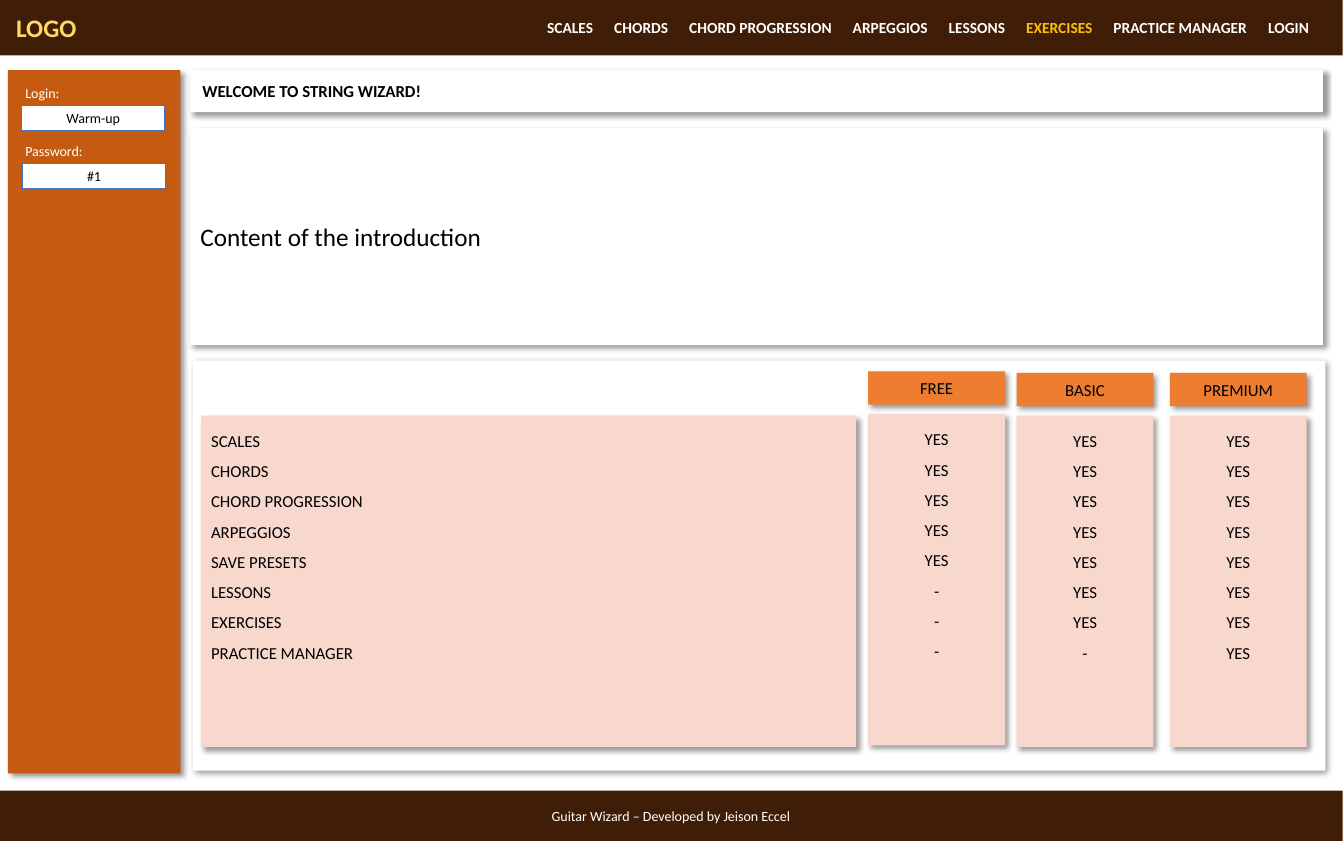
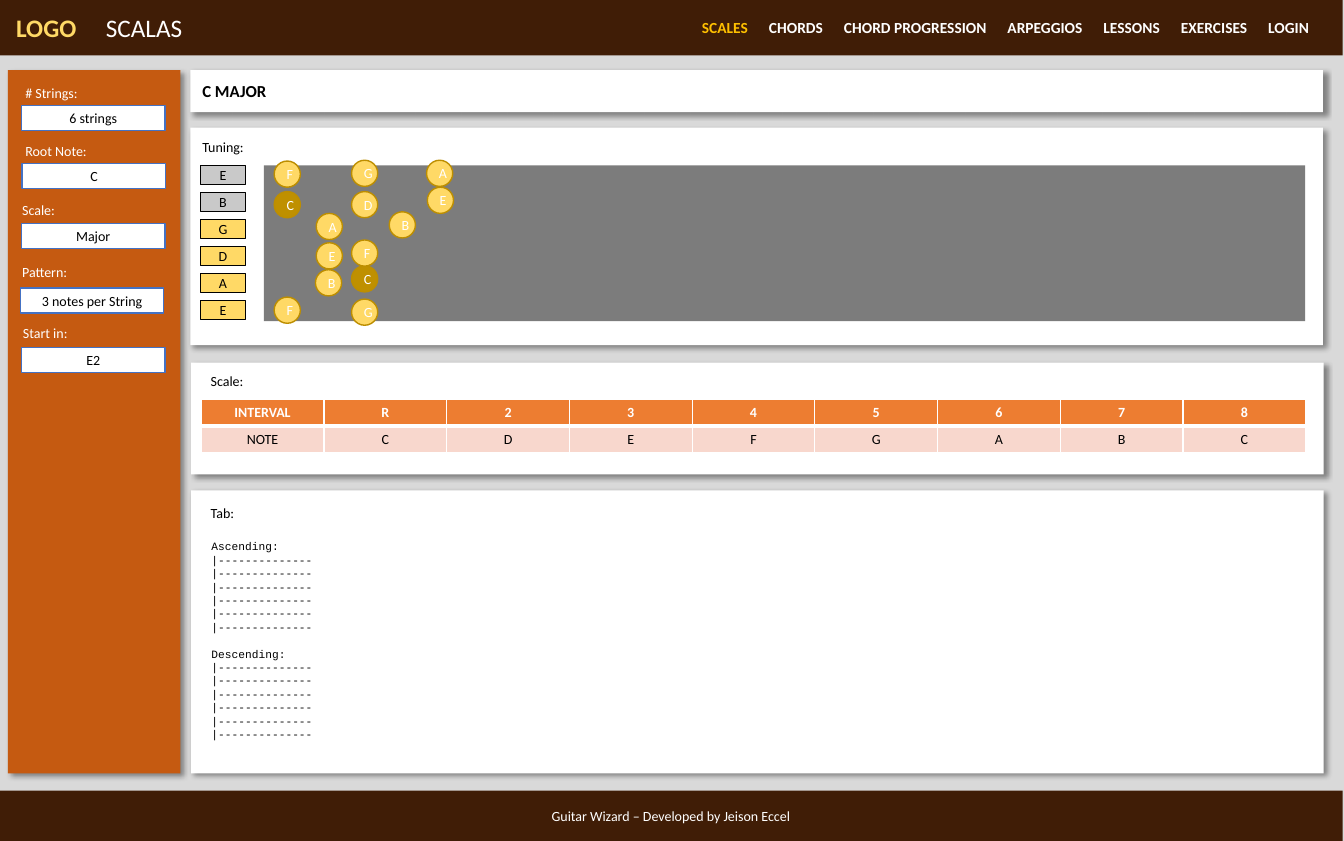
from itertools import accumulate

from lxml.etree import SubElement
from pptx import Presentation
from pptx.dml.color import RGBColor
from pptx.enum.shapes import MSO_SHAPE
from pptx.enum.text import MSO_ANCHOR, PP_ALIGN
from pptx.oxml.ns import qn
from pptx.util import Cm, Pt

COLORS = {
    "white": "FFFFFF", "black": "000000", "page_gray": "D9D9D9",
    "brown": "401D06", "rust": "C55A11", "orange": "ED7D31", "peach": "F8D7CD",
    "gold": "FFC000", "yellow": "FFD966", "dark_gold": "BF9000", "note_edge": "BD8E00",
    "blue": "4472C4", "silver": "C9C9C9", "fretboard": "7C7C7C",
}
WIDTH, HEIGHT = 33.87, 21.2
HEADER_HEIGHT = 1.4
MENU_RIGHT = 33.0
# Distance from the start of each menu entry to the start of the next
MENU_PITCH = {
    "SCALES": 1.69, "CHORDS": 1.89, "CHORD PROGRESSION": 4.12, "ARPEGGIOS": 2.42,
    "LESSONS": 1.95, "EXERCISES": 2.2, "PRACTICE MANAGER": 3.9, "LOGIN": 1.04,
}
PANEL_WIDTH = 28.54


def rgb(name):
    return RGBColor.from_string(COLORS[name])


def style_run(run, size=10, color="black", bold=False, font="Calibri"):
    run.font.size = Pt(size)
    run.font.name = font
    run.font.bold = bold
    run.font.color.rgb = rgb(color)


def write(frame, text, align=PP_ALIGN.LEFT, line_spacing=None, **run_format):
    """Put each line of text in a paragraph of its own."""
    for index, line in enumerate(text.split("\n")):
        paragraph = frame.add_paragraph() if index else frame.paragraphs[0]
        paragraph.alignment = align
        if line_spacing:
            paragraph.line_spacing = line_spacing
        run = paragraph.add_run()
        run.text = line
        style_run(run, **run_format)


def add_shadow(shape):
    effects = shape._element.spPr.find(qn("a:effectLst"))
    shadow = SubElement(effects, qn("a:outerShdw"), blurRad="50800", dist="38100",
                        dir="2700000", algn="tl", rotWithShape="0")
    color = SubElement(shadow, qn("a:srgbClr"), val=COLORS["black"])
    SubElement(color, qn("a:alpha"), val="40000")


def set_borders(cell, bottom):
    properties = cell._tc.get_or_add_tcPr()
    widths = {"a:lnL": 1, "a:lnR": 1, "a:lnT": 1, "a:lnB": bottom}
    for index, (tag, width) in enumerate(widths.items()):
        line = properties.makeelement(qn(tag), {"w": str(Pt(width))})
        fill = SubElement(line, qn("a:solidFill"))
        SubElement(fill, qn("a:srgbClr"), val=COLORS["white"])
        properties.insert(index, line)


class Page:
    """Style of the site mock-up and the slide being drawn."""

    def __init__(self, presentation, background):
        self.slide = presentation.slides.add_slide(presentation.slide_layouts[6])
        self.slide.background.fill.solid()
        self.slide.background.fill.fore_color.rgb = rgb(background)

    def box(self, left, top, width, height, fill="white", text="", line=None,
            shadow=False, kind=MSO_SHAPE.RECTANGLE, anchor=MSO_ANCHOR.MIDDLE,
            margin_left=0.25, align=PP_ALIGN.CENTER, **text_format):
        shape = self.slide.shapes.add_shape(kind, Cm(left), Cm(top), Cm(width), Cm(height))
        shape.shadow.inherit = False
        shape.fill.solid()
        shape.fill.fore_color.rgb = rgb(fill)
        if line:
            shape.line.color.rgb = rgb(line)
            shape.line.width = Pt(1)
        else:
            shape.line.fill.background()
        if shadow:
            add_shadow(shape)
        if text:
            shape.text_frame.vertical_anchor = anchor
            shape.text_frame.margin_left = Cm(margin_left)
            write(shape.text_frame, text, align=align, **text_format)
        return shape

    def panel(self, left, top, height, text="", **text_format):
        self.box(left, top, PANEL_WIDTH, height, text=text, shadow=True,
                 align=PP_ALIGN.LEFT, **text_format)

    def label(self, left, top, width, text, height=0.68, **text_format):
        shape = self.slide.shapes.add_textbox(Cm(left), Cm(top), Cm(width), Cm(height))
        shape.text_frame.word_wrap = False
        write(shape.text_frame, text, **text_format)
        return shape

    def frame(self, title, heading=""):
        """Title bar, side bar, header and footer."""
        self.panel(4.8, 1.77, 1.06)
        self.label(4.85, 1.9, 8, title, height=0.76, size=12, bold=True)
        self.box(0.2, 1.77, 4.35, 17.73, "rust", shadow=True)
        self.box(-0.03, 0, WIDTH, HEADER_HEIGHT, "brown", heading, margin_left=2.7,
                 align=PP_ALIGN.LEFT, size=18, color="white")
        self.box(-0.03, 19.93, WIDTH, 1.27, "brown",
                 "Guitar Wizard – Developed by Jeison Eccel", color="white")
        logo = self.label(-0.03, 0, 2.39, "LOGO", height=1.38, size=18,
                          color="yellow", bold=True, align=PP_ALIGN.CENTER)
        logo.text_frame.vertical_anchor = MSO_ANCHOR.MIDDLE

    def menu(self, entries, active):
        """Right-hand navigation, one tab stop for each entry after the first."""
        stops = list(accumulate(MENU_PITCH[entry] for entry in entries))
        shape = self.slide.shapes.add_textbox(
            Cm(MENU_RIGHT - stops[-1]), Cm(0), Cm(stops[-1] + 0.3), Cm(HEADER_HEIGHT))
        text_frame = shape.text_frame
        text_frame.word_wrap = True
        text_frame.margin_left = text_frame.margin_right = 0
        text_frame.vertical_anchor = MSO_ANCHOR.MIDDLE
        paragraph = text_frame.paragraphs[0]
        tabs = SubElement(paragraph._p.get_or_add_pPr(), qn("a:tabLst"))
        for stop in stops[:-1]:
            SubElement(tabs, qn("a:tab"), pos=str(Cm(stop)), algn="l")
        for index, entry in enumerate(entries):
            run = paragraph.add_run()
            run.text = f"\t{entry}" if index else entry
            style_run(run, size=11, bold=True, color="gold" if entry == active else "white")

    def field(self, caption, value, caption_left, caption_top, left, top):
        self.label(caption_left, caption_top, 2.1, caption, color="white")
        self.box(left, top, 3.62, 0.63, text=value, line="blue")

    def note(self, name, left, top):
        self.box(left, top, 0.66, 0.66, "dark_gold" if name == "C" else "yellow", name,
                 line="note_edge", kind=MSO_SHAPE.OVAL, color="white")

    def table(self, left, top, width, rows, row_height=0.67):
        columns = len(rows[0])
        table = self.slide.shapes.add_table(
            len(rows), columns, Cm(left), Cm(top), Cm(width), Cm(row_height * len(rows))).table
        for row_index, row in enumerate(rows):
            header = row_index == 0
            for column_index, text in enumerate(row):
                cell = table.cell(row_index, column_index)
                cell.fill.solid()
                cell.fill.fore_color.rgb = rgb("orange" if header else "peach")
                set_borders(cell, bottom=3 if header else 1)
                write(cell.text_frame, text, align=PP_ALIGN.CENTER, bold=header,
                      color="white" if header else "black")


def build_welcome(presentation):
    page = Page(presentation, "white")
    page.frame("WELCOME TO STRING WIZARD!")
    page.menu(list(MENU_PITCH), active="EXERCISES")
    page.panel(4.8, 3.22, 5.48, "Content of the introduction", size=18)
    page.field("Login:", "Warm-up", 0.39, 2.01, 0.54, 2.66)
    page.field("Password:", "#1", 0.39, 3.47, 0.56, 4.12)

    page.panel(4.86, 9.09, 10.34)
    features = ["SCALES", "CHORDS", "CHORD PROGRESSION", "ARPEGGIOS", "SAVE PRESETS",
                "LESSONS", "EXERCISES", "PRACTICE MANAGER"]
    list_format = dict(fill="peach", shadow=True, anchor=MSO_ANCHOR.TOP,
                       size=12, line_spacing=1.5)
    page.box(5.07, 10.48, 16.51, 8.35, text="\n".join(features),
             align=PP_ALIGN.LEFT, **list_format)
    plans = [("FREE", 21.88, 9.36, 5), ("BASIC", 25.62, 9.4, 7), ("PREMIUM", 29.48, 9.4, 8)]
    for plan, left, top, included in plans:
        page.box(left, top, 3.45, 0.84, "orange", plan, shadow=True, size=12)
        answers = ["YES"] * included + ["-"] * (len(features) - included)
        page.box(left, top + 1.08, 3.45, 8.35, text="\n".join(answers), **list_format)


def build_scales(presentation):
    page = Page(presentation, "page_gray")
    page.frame("C MAJOR", heading="SCALAS")
    page.menu([entry for entry in MENU_PITCH if entry != "PRACTICE MANAGER"], active="SCALES")
    fields = [
        ("# Strings:", "6 strings", 0.39, 2.01, 0.54, 2.66),
        ("Root Note:", "C", 0.39, 3.47, 0.56, 4.12),
        ("Scale:", "Major", 0.31, 4.95, 0.54, 5.63),
        ("Pattern:", "3 notes per String", 0.31, 6.51, 0.51, 7.26),
        ("Start in:", "E2", 0.33, 8.05, 0.54, 8.76),
    ]
    for field in fields:
        page.field(*field)

    page.panel(4.8, 3.22, 5.48)
    page.label(4.85, 3.37, 1.6, "Tuning:")
    page.box(6.65, 4.17, 26.24, 3.93, "fretboard")
    for index, string in enumerate("EBGDAE"):
        page.box(5.05, 4.17 + 0.68 * index, 1.14, 0.48,
                 "silver" if index < 2 else "yellow", string, line="black")
    notes = [
        ("E", 7.97, 6.12), ("C", 8.86, 6.7), ("C", 6.91, 4.83), ("F", 6.91, 7.49),
        ("G", 8.86, 7.54), ("B", 7.95, 6.8), ("F", 8.86, 6.05), ("G", 8.86, 4.04),
        ("F", 6.91, 4.06), ("A", 7.97, 5.38), ("B", 9.81, 5.34), ("D", 8.86, 4.83),
        ("E", 10.77, 4.72), ("A", 10.75, 4.04),
    ]
    for note in notes:
        page.note(*note)

    page.panel(4.82, 9.14, 2.82)
    page.label(5.06, 9.27, 1.35, "Scale:")
    page.table(5.07, 10.06, 27.84, [["INTERVAL", "R", *"2345678"], ["NOTE", *"CDEFGABC"]])

    page.panel(4.82, 12.36, 7.14)
    page.label(5.06, 12.59, 1.15, "Tab:")
    staff = ["|--------------"] * 6
    tab = page.box(5.08, 13.48, 27.84, 5.44, anchor=MSO_ANCHOR.TOP, align=PP_ALIGN.LEFT,
                   text="\n".join(["Ascending:", *staff, "Descending:", *staff]),
                   size=8, font="Courier New")
    tab.text_frame.paragraphs[len(staff) + 1].space_before = Pt(9.5)


def main():
    presentation = Presentation()
    presentation.slide_width = Cm(WIDTH)
    presentation.slide_height = Cm(HEIGHT)
    build_welcome(presentation)
    build_scales(presentation)
    presentation.save("out.pptx")


if __name__ == "__main__":
    main()
